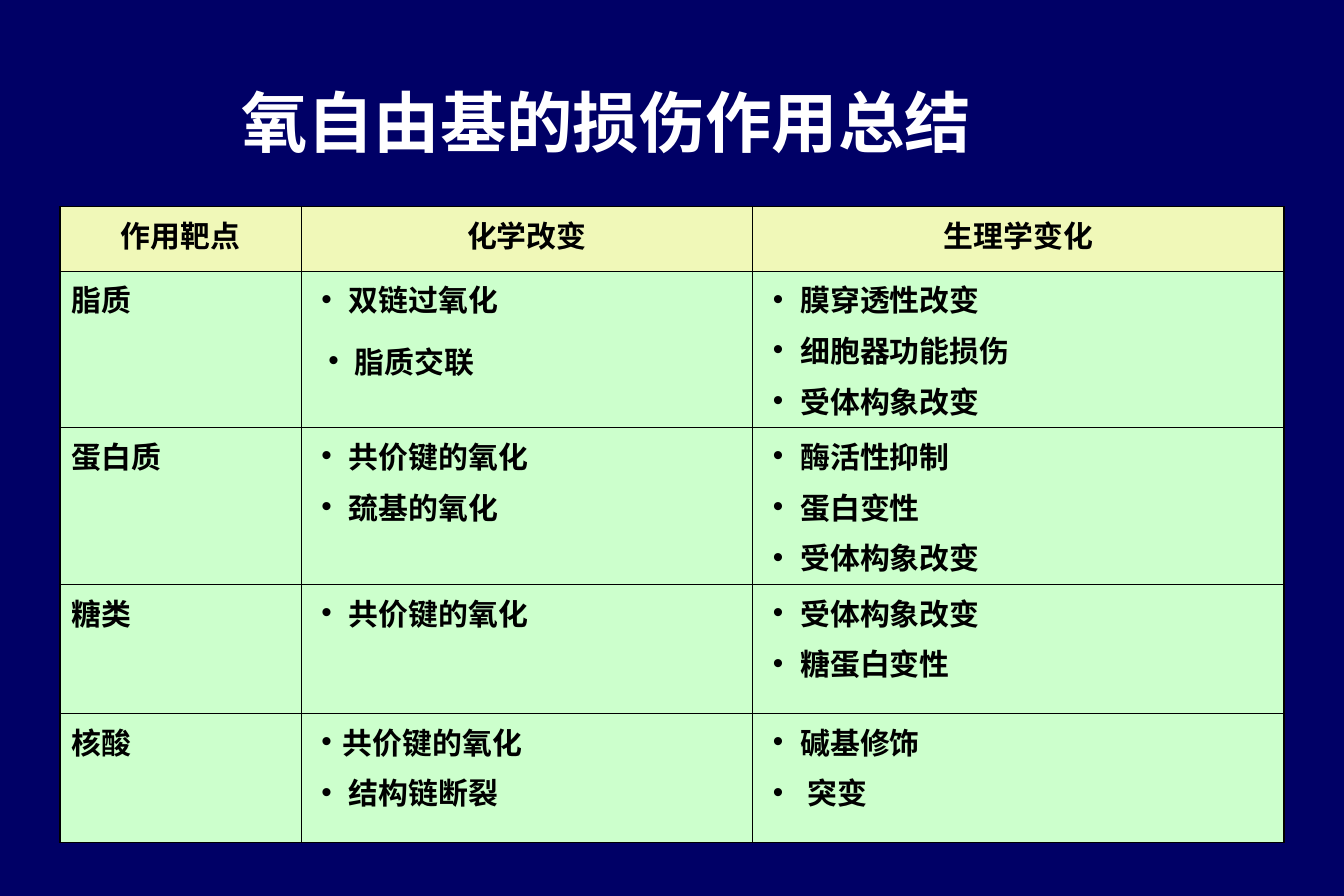
from dataclasses import dataclass

from lxml import etree
from pptx import Presentation
from pptx.dml.color import RGBColor
from pptx.enum.text import MSO_ANCHOR, MSO_AUTO_SIZE, PP_ALIGN
from pptx.oxml.ns import qn
from pptx.util import Inches, Pt

CENTER, LEFT = PP_ALIGN.CENTER, PP_ALIGN.LEFT
MIDDLE = MSO_ANCHOR.MIDDLE
NO_AUTOFIT = MSO_AUTO_SIZE.NONE

COLORS = {
    "background": "000066",
    "title": "FFFFFF",
    "header": "F0F8B8",
    "body": "CCFFCC",
    "ink": "000000",
}
COLUMN_WIDTHS = [2.02, 3.78, 4.45]
ROW_HEIGHTS = [0.54, 1.25, 1.22, 1.08, 1.08]
OUTER_BORDER, INNER_BORDER = 1.08, 0.45


@dataclass
class Item:
    """A bulleted line; positions are inches from the cell's text edge."""
    text: str
    bullet_at: float = 0.07
    text_at: float = 0.3
    space_before: float = 4.5


@dataclass
class Target:
    name: str
    chemical: list[Item]
    physiological: list[Item]


HEADERS = ["作用靶点", "化学改变", "生理学变化"]
TARGETS = [
    Target("脂质",
           [Item("双链过氧化"), Item("脂质交联", 0.13, 0.35, 11.2)],
           [Item("膜穿透性改变"), Item("细胞器功能损伤"), Item("受体构象改变")]),
    Target("蛋白质",
           [Item("共价键的氧化"), Item("巯基的氧化")],
           [Item("酶活性抑制"), Item("蛋白变性"), Item("受体构象改变")]),
    Target("糖类",
           [Item("共价键的氧化")],
           [Item("受体构象改变"), Item("糖蛋白变性")]),
    Target("核酸",
           [Item("共价键的氧化", text_at=0.25), Item("结构链断裂")],
           [Item("碱基修饰"), Item("突变", text_at=0.36)]),
]


def rgb(name: str) -> RGBColor:
    return RGBColor.from_string(COLORS[name])


def format_font(paragraph, name: str, size: float, color: str) -> None:
    font = paragraph.font
    font.name, font.size, font.bold = name, Pt(size), True
    font.color.rgb = rgb(color)


def add_bullet(paragraph, item: Item) -> None:
    properties = paragraph._p.get_or_add_pPr()
    properties.set("marL", str(Inches(item.text_at)))
    properties.set("indent", str(Inches(item.bullet_at) - Inches(item.text_at)))
    etree.SubElement(properties, qn("a:buFont"), typeface="Arial")
    etree.SubElement(properties, qn("a:buChar"), char="•")


def set_borders(cell, row: int, column: int) -> None:
    """Draw heavy lines on the table's rim and thin lines inside it."""
    on_rim = {
        "a:lnL": column == 0,
        "a:lnR": column == len(COLUMN_WIDTHS) - 1,
        "a:lnT": row == 0,
        "a:lnB": row == len(ROW_HEIGHTS) - 1,
    }
    properties = cell._tc.get_or_add_tcPr()
    for position, (tag, outer) in enumerate(on_rim.items()):
        width = Pt(OUTER_BORDER if outer else INNER_BORDER)
        line = etree.Element(qn(tag), w=str(width))
        fill = etree.SubElement(line, qn("a:solidFill"))
        etree.SubElement(fill, qn("a:srgbClr"), val=COLORS["ink"])
        properties.insert(position, line)


def fill_cell(cell, content: str | list[Item], color: str, alignment: PP_ALIGN) -> None:
    cell.fill.solid()
    cell.fill.fore_color.rgb = rgb(color)
    lines = [content] if isinstance(content, str) else content
    frame = cell.text_frame
    for index, line in enumerate(lines):
        paragraph = frame.add_paragraph() if index else frame.paragraphs[0]
        paragraph.alignment = alignment
        if isinstance(line, Item):
            if index:
                paragraph.space_before = Pt(line.space_before)
            add_bullet(paragraph, line)
            paragraph.add_run().text = line.text
        else:
            paragraph.add_run().text = line
        format_font(paragraph, "Arial", 18, "ink")


def add_title(slide, text: str) -> None:
    title = slide.shapes.title
    title.left, title.top = Inches(1.92), Inches(0.63)
    title.width, title.height = Inches(8.5), Inches(0.77)
    frame = title.text_frame
    frame.text = text
    frame.word_wrap = True
    frame.auto_size = NO_AUTOFIT
    frame.vertical_anchor = MIDDLE
    paragraph = frame.paragraphs[0]
    paragraph.alignment = LEFT
    format_font(paragraph, "Times New Roman", 40, "title")


def add_damage_table(slide) -> None:
    rows = [HEADERS] + [[t.name, t.chemical, t.physiological] for t in TARGETS]
    table = slide.shapes.add_table(
        len(rows), len(HEADERS), Inches(0.5), Inches(1.73),
        Inches(sum(COLUMN_WIDTHS)), Inches(sum(ROW_HEIGHTS))).table
    table.horz_banding = False
    for column, width in zip(table.columns, COLUMN_WIDTHS):
        column.width = Inches(width)
    for row, height in zip(table.rows, ROW_HEIGHTS):
        row.height = Inches(height)
    for row_index, contents in enumerate(rows):
        color, alignment = ("body", LEFT) if row_index else ("header", CENTER)
        for column_index, content in enumerate(contents):
            cell = table.cell(row_index, column_index)
            fill_cell(cell, content, color, alignment)
            set_borders(cell, row_index, column_index)


def main() -> None:
    presentation = Presentation()
    presentation.slide_width = Inches(11.25)
    presentation.slide_height = Inches(7.5)
    title_only = presentation.slide_layouts[5]
    slide = presentation.slides.add_slide(title_only)
    slide.background.fill.solid()
    slide.background.fill.fore_color.rgb = rgb("background")
    add_title(slide, "氧自由基的损伤作用总结")
    add_damage_table(slide)
    presentation.save("out.pptx")


if __name__ == "__main__":
    main()
